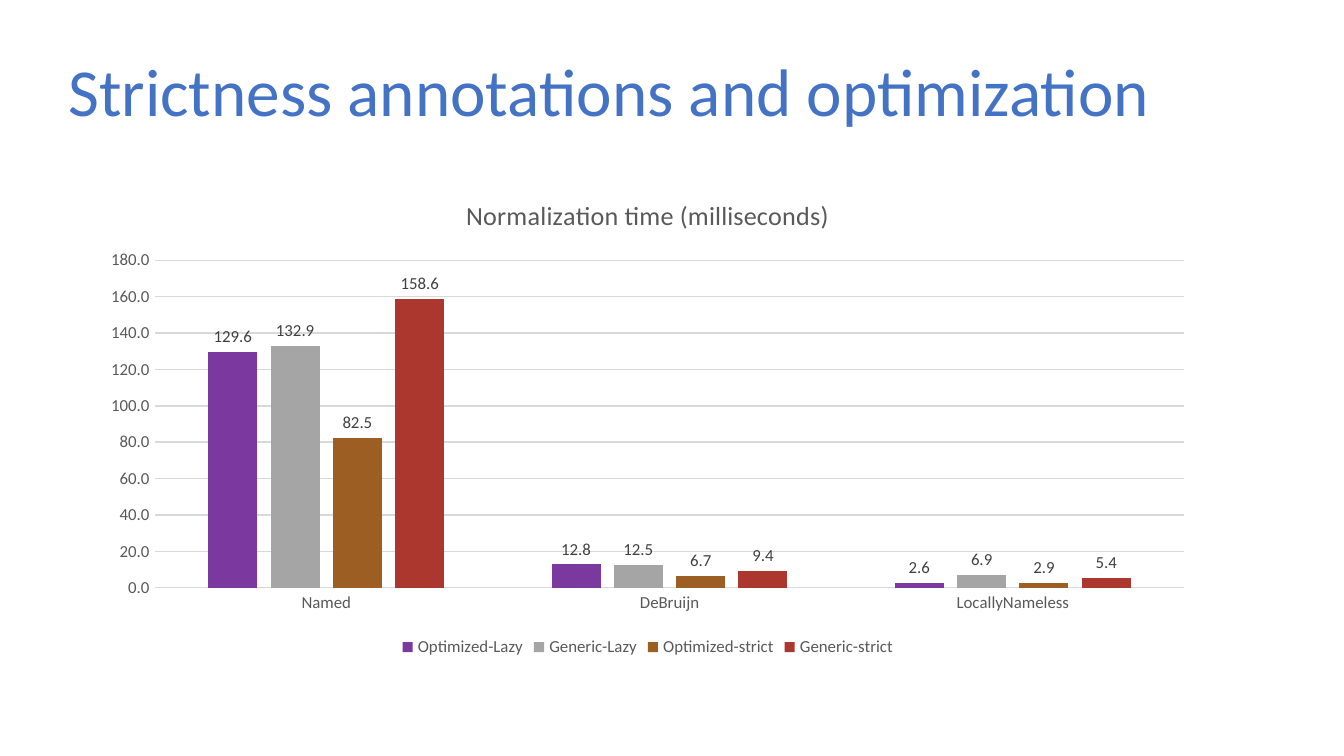
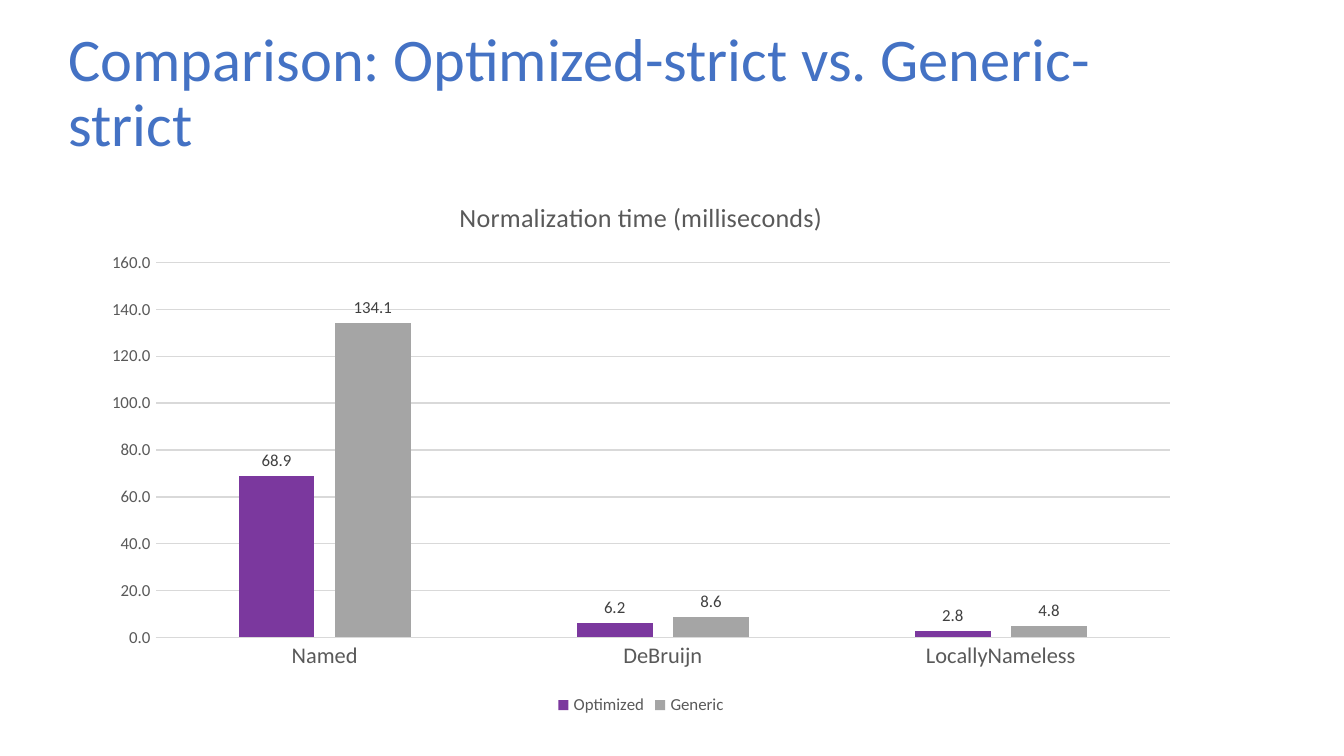
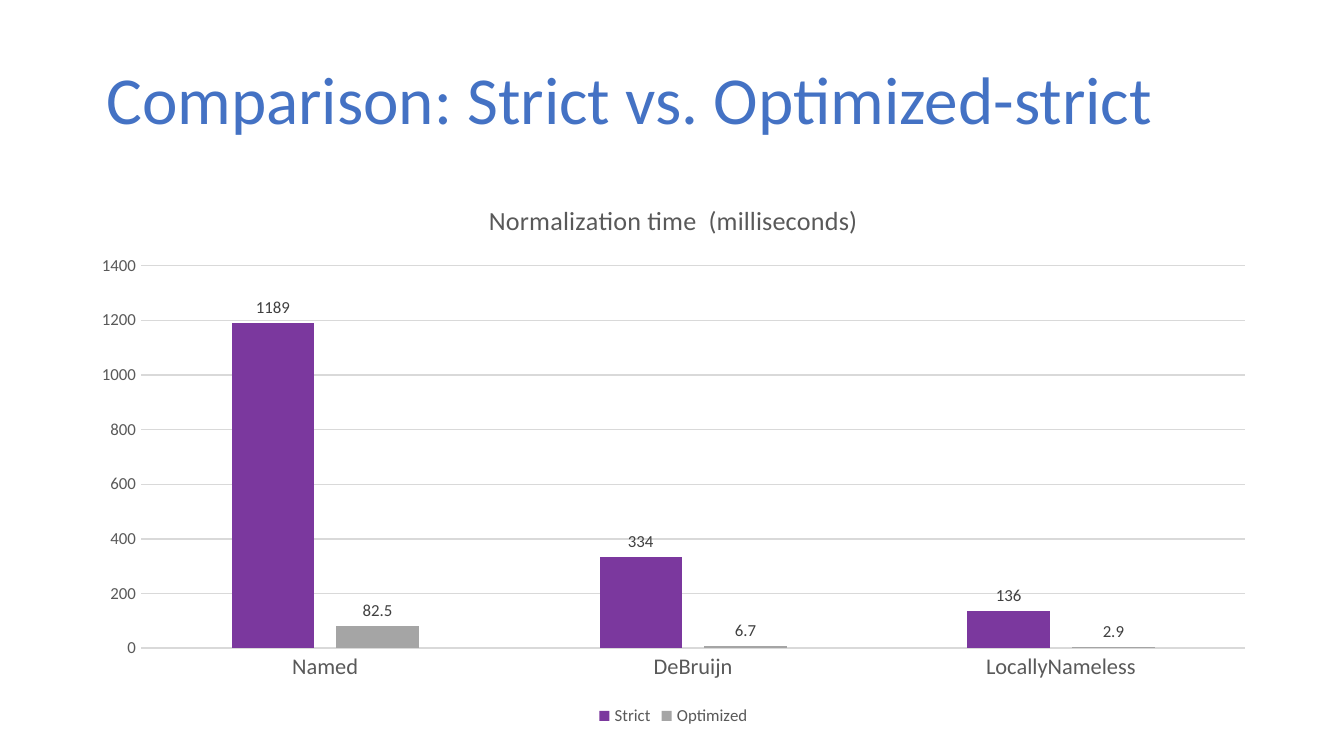
"""Build three slides that compare normalization times in column charts."""
from pptx import Presentation
from pptx.chart.data import CategoryChartData
from pptx.dml.color import RGBColor
from pptx.enum.chart import XL_CHART_TYPE as ChartType
from pptx.enum.chart import XL_LABEL_POSITION as LabelPosition
from pptx.enum.chart import XL_LEGEND_POSITION as LegendPosition
from pptx.enum.chart import XL_TICK_MARK as TickMark
from pptx.enum.text import MSO_ANCHOR as Anchor
from pptx.enum.text import MSO_AUTO_SIZE as AutoSize
from pptx.enum.text import PP_ALIGN as Align
from pptx.util import Pt

FONT = "Calibri"
BLUE = RGBColor(0x44, 0x72, 0xC4)
BLACK = RGBColor(0x00, 0x00, 0x00)
DARK_GRAY = RGBColor(0x40, 0x40, 0x40)
TEXT_GRAY = RGBColor(0x59, 0x59, 0x59)
GRID_GRAY = RGBColor(0xD9, 0xD9, 0xD9)
PURPLE = RGBColor(0x7B, 0x38, 0x9E)
SILVER = RGBColor(0xA5, 0xA5, 0xA5)
BROWN = RGBColor(0x9C, 0x5E, 0x22)
RED = RGBColor(0xAB, 0x37, 0x2E)
SERIES_COLORS = (PURPLE, SILVER, BROWN, RED)

REPRESENTATIONS = ("Named", "DeBruijn", "LocallyNameless")
TITLE_WIDTH, TITLE_HEIGHT = 620.6, 64.1
TIME_TITLE = "Normalization time (milliseconds)"
ONE_DECIMAL, WHOLE = "0.0", "0"


def style_font(font, size, color):
    """Apply the shared typeface with a size and colour."""
    font.name = FONT
    font.size = Pt(size)
    font.bold = False
    font.color.rgb = color


def add_titled_slide(deck, heading, left, top, size=36):
    """Add a title-only slide and set its heading."""
    slide = deck.slides.add_slide(deck.slide_layouts[5])
    title = slide.shapes.title
    title.left, title.top = Pt(left), Pt(top)
    title.width, title.height = Pt(TITLE_WIDTH), Pt(TITLE_HEIGHT)
    frame = title.text_frame
    frame.text = heading
    frame.word_wrap = True
    frame.auto_size = AutoSize.NONE
    frame.vertical_anchor = Anchor.MIDDLE
    paragraph = frame.paragraphs[0]
    paragraph.alignment = Align.LEFT
    paragraph.line_spacing = 0.9
    style_font(paragraph.font, size, BLUE)
    return slide


def style_axes(chart, category_size, value_format):
    """Format the category axis, the value axis and its gridlines."""
    category_axis, value_axis = chart.category_axis, chart.value_axis
    for axis, size in ((category_axis, category_size), (value_axis, 9)):
        axis.major_tick_mark = axis.minor_tick_mark = TickMark.NONE
        style_font(axis.tick_labels.font, size, TEXT_GRAY)
    value_axis.tick_labels.number_format = value_format
    value_axis.tick_labels.number_format_is_linked = False
    value_axis.format.line.fill.background()
    value_axis.has_major_gridlines = True
    for line in (category_axis.format.line, value_axis.major_gridlines.format.line):
        line.color.rgb = GRID_GRAY
        line.width = Pt(0.75)


def style_series(series, color, label_format):
    """Colour one series and label its columns."""
    series.format.fill.solid()
    series.format.fill.fore_color.rgb = color
    series.invert_if_negative = False
    labels = series.data_labels
    labels.show_value = True
    labels.position = LabelPosition.OUTSIDE_END
    labels.number_format = label_format
    labels.number_format_is_linked = False
    style_font(labels.font, 9, DARK_GRAY)


def add_time_chart(slide, box, timings, category_size=12, heading=TIME_TITLE,
                   value_format=ONE_DECIMAL):
    """Add a column chart of (name, times, label format) rows."""
    chart_data = CategoryChartData()
    chart_data.categories = REPRESENTATIONS
    for name, times, label_format in timings:
        chart_data.add_series(name, times, label_format)
    chart = slide.shapes.add_chart(
        ChartType.COLUMN_CLUSTERED, *map(Pt, box), chart_data).chart
    style_font(chart.font, 10, BLACK)

    chart.has_title = True
    title_frame = chart.chart_title.text_frame
    title_frame.text = heading
    style_font(title_frame.paragraphs[0].font, 14, TEXT_GRAY)
    chart.chart_title.include_in_layout = False

    chart.has_legend = True
    chart.legend.position = LegendPosition.BOTTOM
    chart.legend.include_in_layout = False
    style_font(chart.legend.font, 9, TEXT_GRAY)

    style_axes(chart, category_size, value_format)
    plot = chart.plots[0]
    plot.gap_width, plot.overlap = 219, -27
    plot.vary_by_categories = False
    for series, color, (_, _, label_format) in zip(plot.series, SERIES_COLORS, timings):
        style_series(series, color, label_format)


def main():
    """Build the deck and save it."""
    deck = Presentation()
    deck.slide_width, deck.slide_height = Pt(720), Pt(405)

    annotations = add_titled_slide(
        deck, "Strictness annotations and optimization", 29.5, 18.7)
    add_time_chart(annotations, (47.5, 94.3, 599, 260.6), (
        ("Optimized-Lazy", (129.6, 12.8, 2.6), ONE_DECIMAL),
        ("Generic-Lazy", (132.9, 12.5, 6.9), ONE_DECIMAL),
        ("Optimized-strict", (82.5, 6.7, 2.9), ONE_DECIMAL),
        ("Generic-strict", (158.6, 9.4, 5.4), ONE_DECIMAL),
    ), category_size=9)

    generic = add_titled_slide(
        deck, "Comparison: Optimized-strict vs. Generic-strict", 29.5, 18.7, 32.4)
    add_time_chart(generic, (48.2, 94.3, 590.4, 291.6), (
        ("Optimized", (68.9, 6.2, 2.8), ONE_DECIMAL),
        ("Generic", (134.1, 8.6, 4.8), ONE_DECIMAL),
    ))

    strict = add_titled_slide(
        deck, "Comparison: Strict vs. Optimized-strict", 49.7, 23)
    add_time_chart(strict, (41.8, 95.8, 637.9, 295.9), (
        ("Strict", (1189, 334, 136), WHOLE),
        ("Optimized", (82.5, 6.7, 2.9), ONE_DECIMAL),
    ), heading="Normalization time  (milliseconds)", value_format=WHOLE)

    deck.save("out.pptx")


if __name__ == "__main__":
    main()
